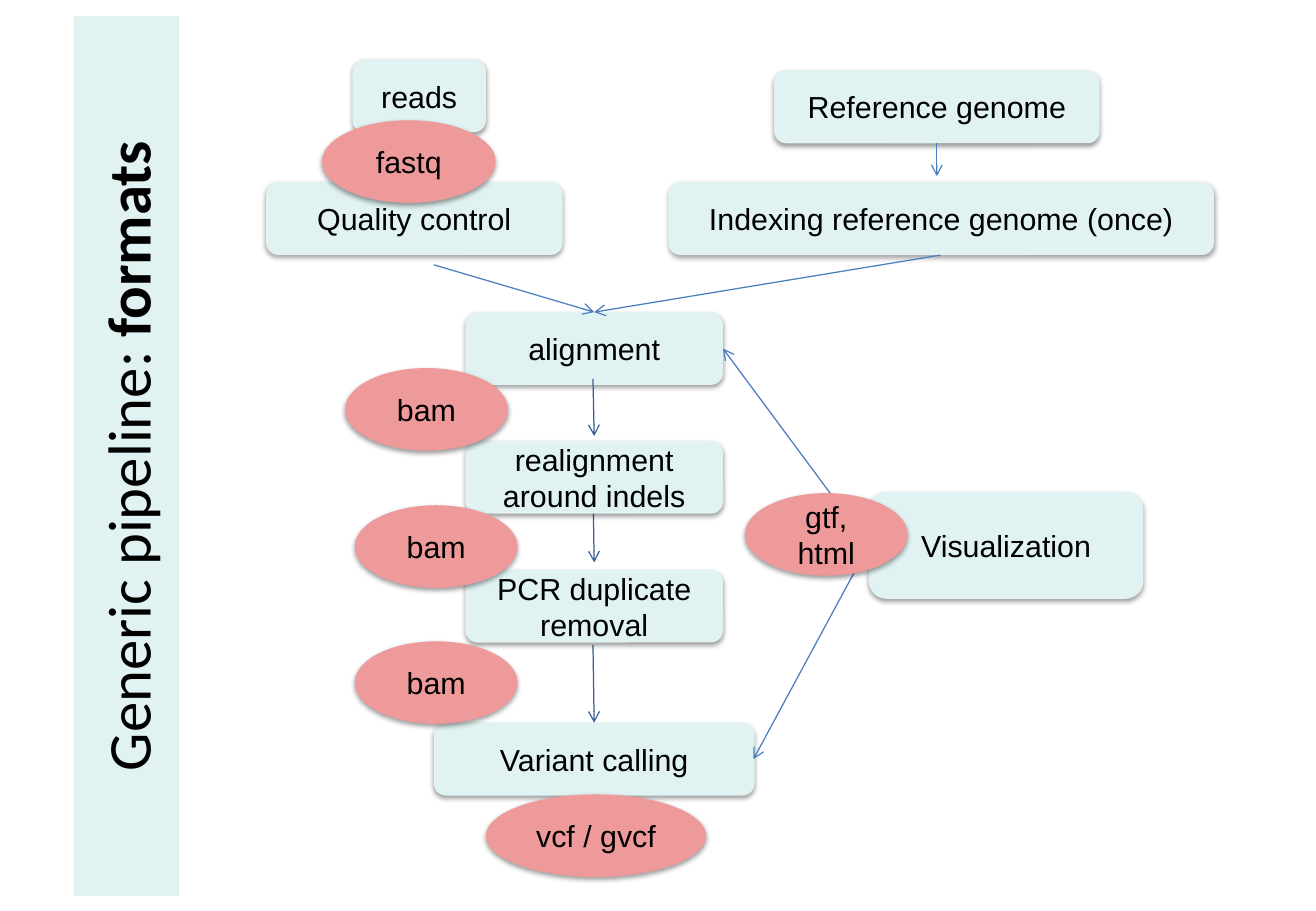
from dataclasses import dataclass

from lxml.etree import SubElement
from pptx import Presentation
from pptx.dml.color import RGBColor
from pptx.enum.shapes import MSO_CONNECTOR, MSO_SHAPE
from pptx.enum.text import MSO_ANCHOR, MSO_AUTO_SIZE, PP_ALIGN
from pptx.oxml.ns import qn
from pptx.shapes.autoshape import Shape
from pptx.slide import Slide
from pptx.text.text import Font
from pptx.util import Inches, Pt

MINT = "E0F2F1"
PINK = "EF9A9A"
BLACK = "000000"
BLUE = "4B7EBC"
DARK_BLUE = "376092"
BOX_HEIGHT = 0.6
ELLIPSE_HEIGHT = 0.68


@dataclass(frozen=True)
class Node:
    text: str
    left: float
    top: float
    width: float
    height: float


@dataclass(frozen=True)
class Arrow:
    start: tuple[float, float]
    end: tuple[float, float]
    color: str = BLUE


def step(text: str, left: float, top: float, width: float) -> Node:
    return Node(text, left, top, width, BOX_HEIGHT)


def file_format(text: str, left: float, top: float, width: float = 1.34) -> Node:
    return Node(text, left, top, width, ELLIPSE_HEIGHT)


BACK_STEPS = [
    step("alignment", 3.83, 2.57, 2.12),
    step("Variant calling", 3.57, 5.95, 2.64),
    step("Indexing reference genome (once)", 5.5, 1.5, 4.49),
    Node("Visualization", 7.15, 4.05, 2.26, 0.88),
    step("reads", 2.9, 0.49, 1.1),
    step("Reference genome", 6.37, 0.58, 2.68),
    step("Quality control", 2.19, 1.5, 2.44),
]

ARROWS = [
    Arrow((4.88, 3.12), (4.89, 3.59), DARK_BLUE),
    Arrow((4.88, 3.99), (4.89, 4.63), DARK_BLUE),
    Arrow((4.88, 5.31), (4.89, 5.95), DARK_BLUE),
    Arrow((7.74, 2.1), (4.89, 2.57)),
    Arrow((3.57, 2.18), (4.89, 2.57)),
    Arrow((7.15, 4.49), (5.95, 2.87)),
    Arrow((7.15, 4.49), (6.2, 6.25)),
    Arrow((7.71, 1.18), (7.71, 1.45)),
    Arrow((3.45, 1.09), (3.45, 1.45)),
]

# These steps cover the upper ends of the arrows that leave them.
FRONT_STEPS = [
    step("realignment around indels", 3.83, 3.63, 2.12),
    step("PCR duplicate removal", 3.83, 4.69, 2.12),
]

FILE_FORMATS = [
    file_format("fastq", 2.65, 0.99, 1.43),
    file_format("bam", 2.84, 3.03),
    file_format("bam", 2.92, 4.16),
    file_format("bam", 2.92, 5.28),
    file_format("gtf,\nhtml", 6.13, 4.06),
    file_format("vcf / gvcf", 4, 6.54, 1.81),
]


def rgb(color: str) -> RGBColor:
    return RGBColor.from_string(color)


def format_font(font: Font, name: str, size: float) -> None:
    font.name = name
    font.size = Pt(size)
    font.color.rgb = rgb(BLACK)


def add_soft_shadow(shape: Shape) -> None:
    shape.shadow.inherit = False
    effects = shape._element.spPr.find(qn("a:effectLst"))
    shadow = SubElement(
        effects, qn("a:outerShdw"), blurRad=str(Pt(3.1)), dist=str(Pt(1.6)),
        dir="5400000", rotWithShape="0",
    )
    color = SubElement(shadow, qn("a:srgbClr"), val=BLACK)
    SubElement(color, qn("a:alpha"), val="38000")


def add_node(slide: Slide, node: Node, kind: MSO_SHAPE, fill: str) -> None:
    shape = slide.shapes.add_shape(
        kind, Inches(node.left), Inches(node.top), Inches(node.width), Inches(node.height)
    )
    shape.fill.solid()
    shape.fill.fore_color.rgb = rgb(fill)
    shape.line.fill.background()
    add_soft_shadow(shape)
    text_frame = shape.text_frame
    text_frame.text = node.text
    text_frame.word_wrap = True
    text_frame.vertical_anchor = MSO_ANCHOR.MIDDLE
    for paragraph in text_frame.paragraphs:
        paragraph.alignment = PP_ALIGN.CENTER
        for run in paragraph.runs:
            format_font(run.font, "Arial", 18)


def add_arrow(slide: Slide, arrow: Arrow) -> None:
    connector = slide.shapes.add_connector(
        MSO_CONNECTOR.STRAIGHT,
        *(Inches(value) for value in (*arrow.start, *arrow.end)),
    )
    connector.line.color.rgb = rgb(arrow.color)
    connector.line.width = Pt(0.75)
    SubElement(connector.line._get_or_add_ln(), qn("a:tailEnd"), type="arrow")
    SubElement(connector._element.spPr, qn("a:effectLst"))


def format_title(slide: Slide) -> None:
    """Turn the title placeholder into the upright rounded bar on the left."""
    title = slide.shapes.title
    title.left, title.top = Inches(-2.58), Inches(3.32)
    title.width, title.height = Inches(7.24), Inches(0.87)
    title.rotation = 270
    geometry = SubElement(title._element.spPr, qn("a:prstGeom"), prst="roundRect")
    SubElement(geometry, qn("a:avLst"))
    title.fill.solid()
    title.fill.fore_color.rgb = rgb(MINT)
    text_frame = title.text_frame
    text_frame.word_wrap = True
    text_frame.auto_size = MSO_AUTO_SIZE.NONE
    text_frame.vertical_anchor = MSO_ANCHOR.MIDDLE
    paragraph = text_frame.paragraphs[0]
    paragraph.alignment = PP_ALIGN.CENTER
    for text, bold in (("Generic pipeline:", False), (" formats", True)):
        run = paragraph.add_run()
        run.text = text
        format_font(run.font, "Calibri", 36)
        run.font.bold = bold


def main() -> None:
    presentation = Presentation()
    presentation.slide_width = Inches(10.83)
    presentation.slide_height = Inches(7.5)
    slide = presentation.slides.add_slide(presentation.slide_layouts.get_by_name("Title Only"))
    format_title(slide)
    for node in BACK_STEPS:
        add_node(slide, node, MSO_SHAPE.ROUNDED_RECTANGLE, MINT)
    for arrow in ARROWS:
        add_arrow(slide, arrow)
    for node in FRONT_STEPS:
        add_node(slide, node, MSO_SHAPE.ROUNDED_RECTANGLE, MINT)
    for node in FILE_FORMATS:
        add_node(slide, node, MSO_SHAPE.OVAL, PINK)
    presentation.save("out.pptx")


if __name__ == "__main__":
    main()
